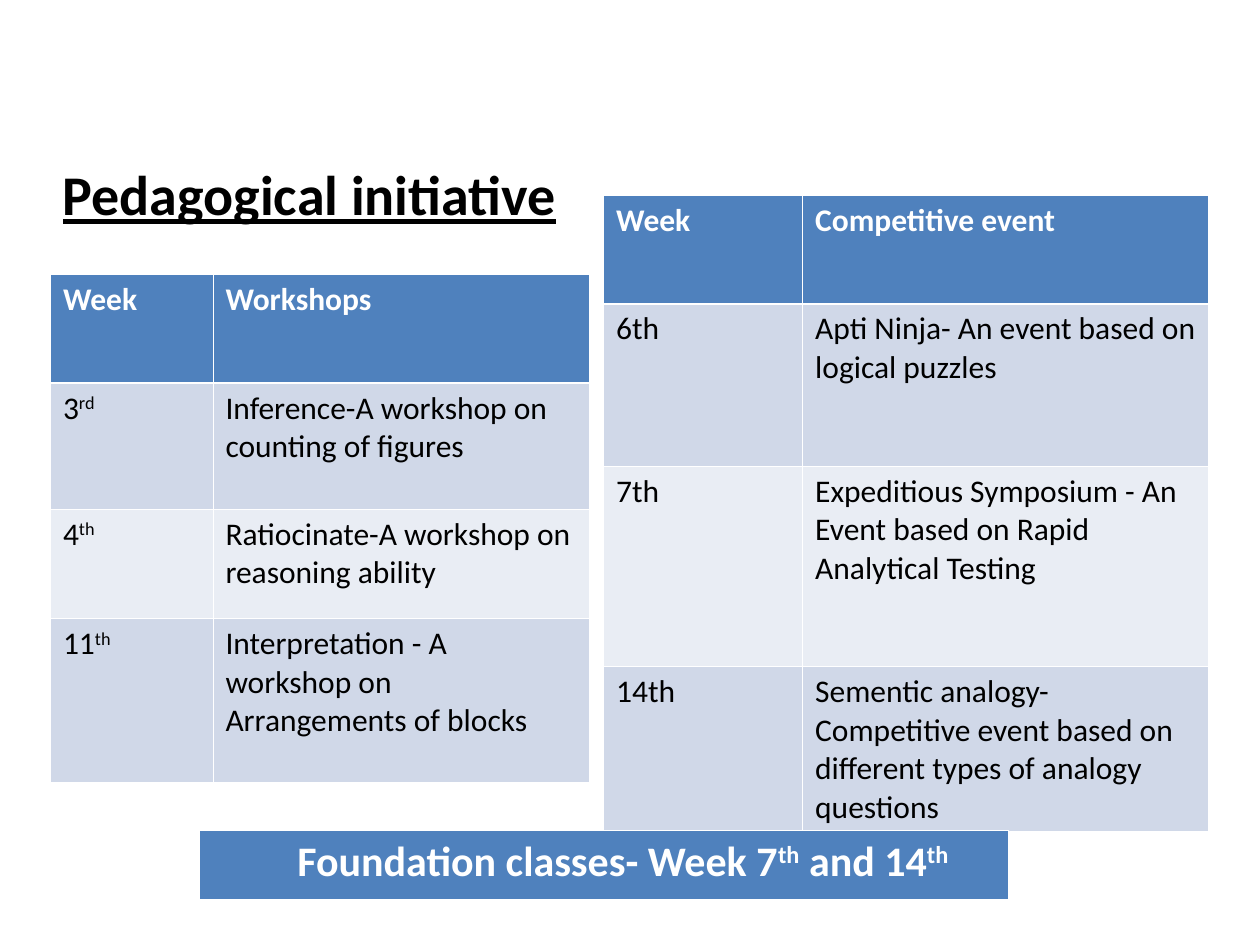
from dataclasses import dataclass

from lxml import etree
from pptx import Presentation
from pptx import util as u
from pptx.dml import color
from pptx.oxml import ns

COLUMN = ROW = u.Inches(0.1)


@dataclass(frozen=True)
class Theme:
    font: str = "Calibri"
    ink: str = "000000"
    paper: str = "FFFFFF"
    header: str = "4F81BD"
    bands: tuple = ("D0D8E8", "E9EDF4")
    title_size: float = 32
    banner_size: float = 24
    body_size: float = 18
    thin: float = 0.45
    thick: float = 1.47


THEME = Theme()


def rgb(value):
    return color.RGBColor.from_string(value)


def place(box):
    left, top, width, height = box
    return [int(length) for length in (left * COLUMN, top * ROW, width * COLUMN, height * ROW)]


def write(paragraph, content, size, ink, bold):
    for index, part in enumerate(content.split("^")):
        if not part:
            continue
        run = paragraph.add_run()
        run.text = part
        run.font.name = THEME.font
        run.font.size = u.Pt(size)
        run.font.bold = bold
        run.font.color.rgb = rgb(ink)
        if index % 2:
            run._r.get_or_add_rPr().set("baseline", "30000")


def set_borders(cell, top, bottom):
    properties = cell._tc.get_or_add_tcPr()
    widths = {"lnL": THEME.thin, "lnR": THEME.thin, "lnT": top, "lnB": bottom}
    for side, width in widths.items():
        line = etree.SubElement(properties, ns.qn(f"a:{side}"), w=str(u.Pt(width)))
        fill = etree.SubElement(line, ns.qn("a:solidFill"))
        etree.SubElement(fill, ns.qn("a:srgbClr"), val=THEME.paper)


def fill_cell(cell, content, is_header, fill, size, top, bottom):
    set_borders(cell, top, bottom)
    cell.fill.solid()
    cell.fill.fore_color.rgb = rgb(fill)
    ink = THEME.paper if is_header else THEME.ink
    write(cell.text_frame.paragraphs[0], content, size, ink, is_header)


def add_grid(slide, box, columns, rows, records, size=THEME.body_size):
    table = slide.shapes.add_table(len(rows), len(columns), *place(box)).table
    for column, width in zip(table.columns, columns):
        column.width = int(width * COLUMN)
    for row, height in zip(table.rows, rows):
        row.height = int(height * ROW)
    for index, record in enumerate(records):
        is_header = index == 0
        fill = THEME.header if is_header else THEME.bands[(index - 1) % 2]
        top = THEME.thick if index == 1 else THEME.thin
        bottom = THEME.thick if is_header else THEME.thin
        for cell, content in zip(table.rows[index].cells, record):
            fill_cell(cell, content, is_header, fill, size, top, bottom)
    return table


def add_title(slide, box):
    text_frame = slide.shapes.add_textbox(*place(box)).text_frame
    text_frame.word_wrap = True
    paragraph = text_frame.paragraphs[0]
    write(paragraph, "Pedagogical initiative", THEME.title_size, THEME.ink, True)
    paragraph.runs[0].font.underline = True


def add_workshops(slide, box):
    add_grid(slide, box, (12.9, 29.9), (8.6, 10, 8.7, 13), (
        ("Week", "Workshops"),
        ("3^rd", "Inference-A workshop on counting of figures"),
        ("4^th", "Ratiocinate-A workshop on reasoning ability"),
        ("11^th", "Interpretation - A workshop on Arrangements of blocks"),
    ))


def add_events(slide, box):
    add_grid(slide, box, (15.8, 32.2), (8.6, 12.9, 15.9, 13.1), (
        ("Week", "Competitive event"),
        ("6th", "Apti Ninja- An event based on logical puzzles"),
        ("7th", "Expeditious Symposium - An Event based on Rapid Analytical Testing"),
        ("14th", "Sementic analogy- Competitive event based on different types of analogy questions"),
    ))


def add_banner(slide, box):
    content = "Foundation classes- Week 7^th^ and 14^th"
    table = add_grid(slide, box, box[2:3], box[3:], ((content,),), THEME.banner_size)
    table.cell(0, 0).margin_left = int(7.8 * COLUMN)


def main():
    presentation = Presentation()
    presentation.slide_width = 100 * COLUMN
    presentation.slide_height = 75 * ROW
    slide = presentation.slides.add_slide(presentation.slide_layouts[6])
    add_title(slide, (4, 12.2, 93.2, 82))
    add_workshops(slide, (4, 21.8, 42.8, 40.3))
    add_events(slide, (47.9, 15.5, 48, 50.5))
    add_banner(slide, (15.8, 65.9, 64.2, 5.5))
    presentation.save("out.pptx")


if __name__ == "__main__":
    main()
